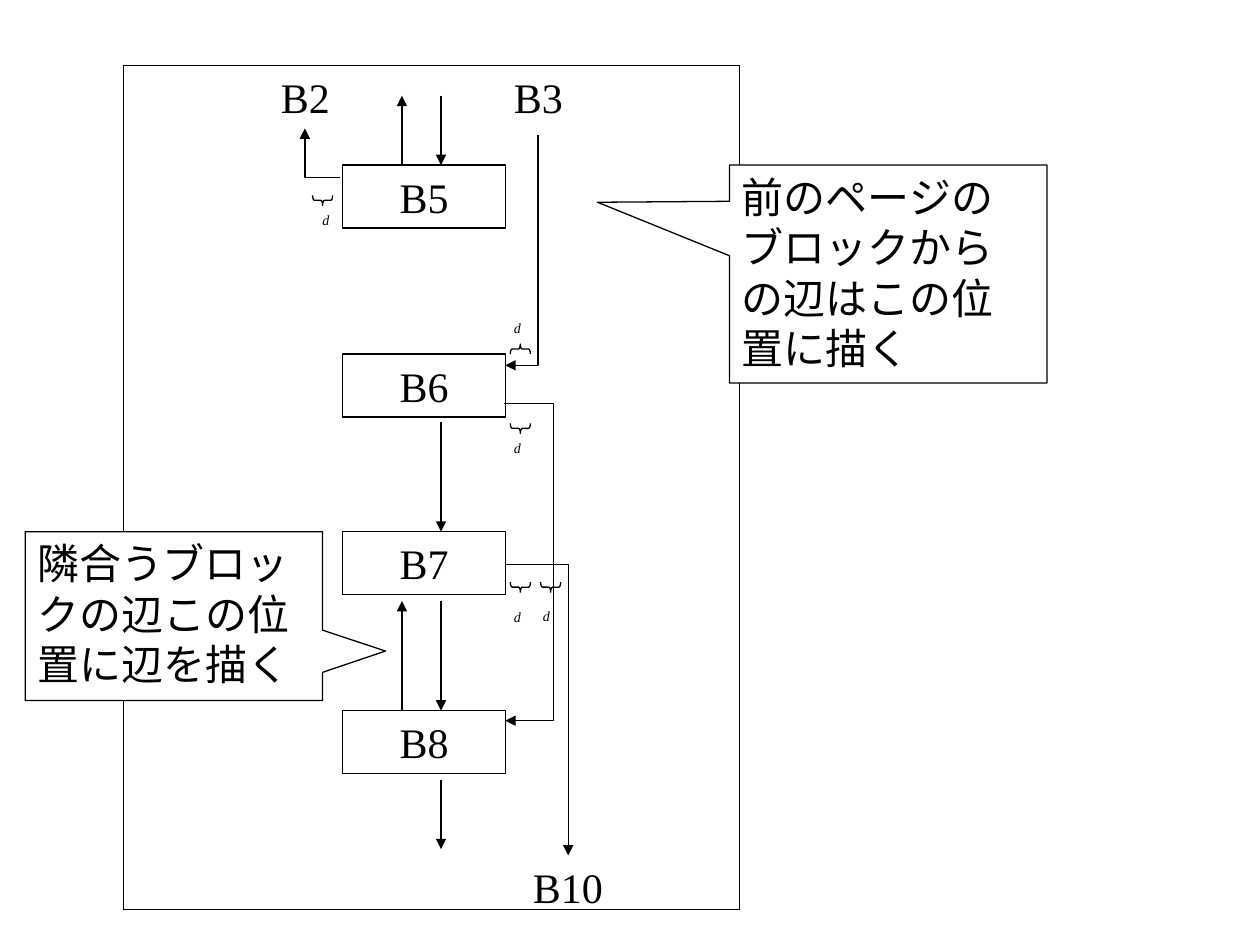
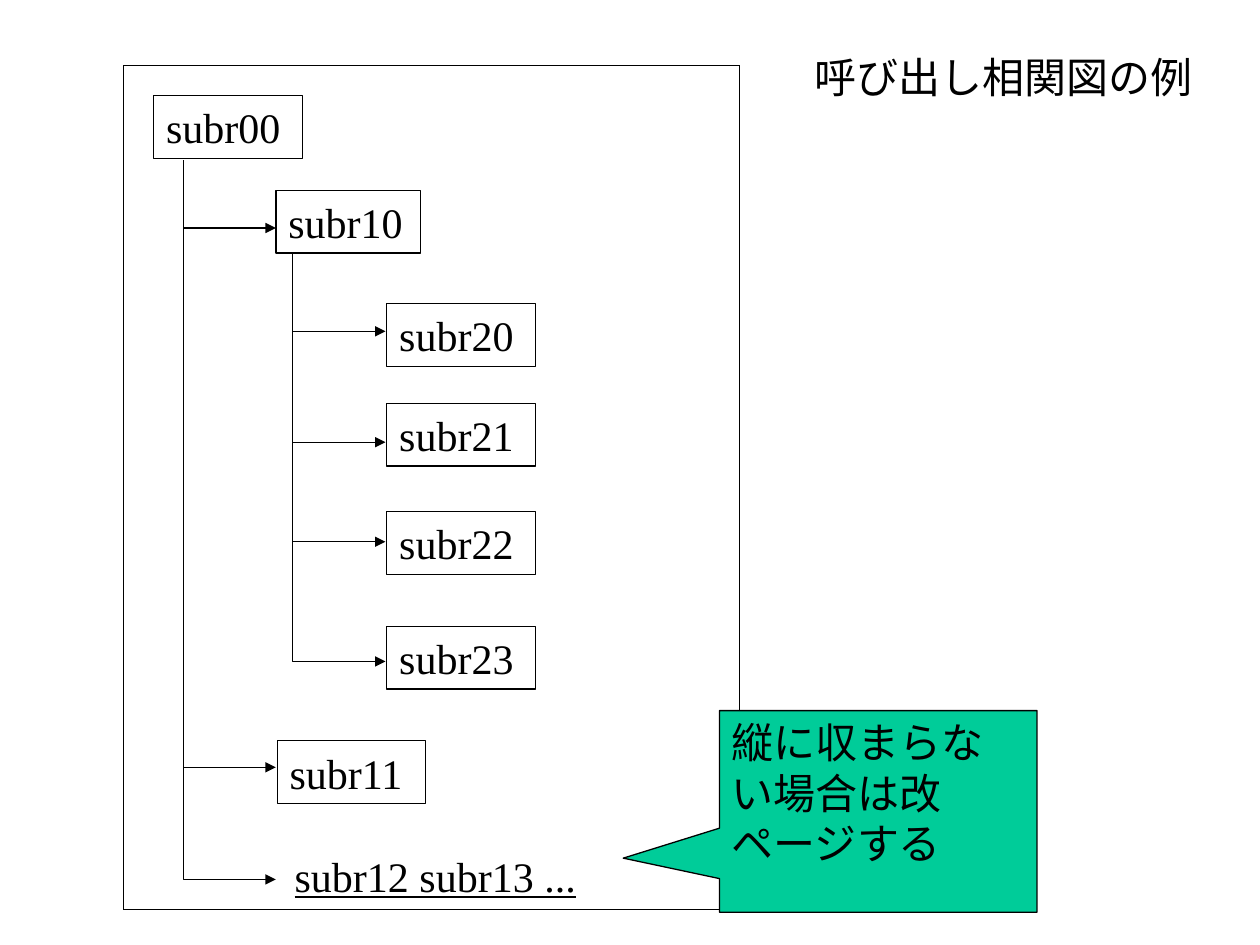
from lxml import etree
from pptx import Presentation
from pptx.dml.color import RGBColor
from pptx.enum.shapes import MSO_CONNECTOR, MSO_SHAPE
from pptx.enum.text import MSO_ANCHOR, MSO_AUTO_SIZE, PP_ALIGN
from pptx.oxml.ns import qn
from pptx.util import Inches, Pt

BLACK = RGBColor(0x00, 0x00, 0x00)
WHITE = RGBColor(0xFF, 0xFF, 0xFF)
GREEN = RGBColor(0x00, 0xCC, 0x99)
FONT = "Times New Roman"
LINE_WIDTH = Pt(0.75)
STRAIGHT, ELBOW = MSO_CONNECTOR.STRAIGHT, MSO_CONNECTOR.ELBOW
RECT = MSO_SHAPE.RECTANGLE
CALLOUT = MSO_SHAPE.RECTANGULAR_CALLOUT
BRACE = MSO_SHAPE.RIGHT_BRACE
LEFT, CENTER = PP_ALIGN.LEFT, PP_ALIGN.CENTER
TOP = MSO_ANCHOR.TOP
GROW = MSO_AUTO_SIZE.SHAPE_TO_FIT_TEXT

FRAME_LEFT, FRAME_TOP, FRAME_RIGHT, FRAME_BOTTOM = 0.98, 0.52, 5.87, 7.22
BOX_HEIGHT = 0.5


def add_line(slide, start, end, arrow=None, bend=None, detour=None):
    """Draw a line; arrow is "headEnd" (at start) or "tailEnd" (at end).

    bend names an elbow preset that leaves start horizontally, and detour
    is how far it runs as a multiple of its width.
    """
    line = slide.shapes.add_connector(
        ELBOW if bend else STRAIGHT, *(Inches(v) for v in start + end))
    line.line.color.rgb = BLACK
    line.line.width = LINE_WIDTH
    properties = line._element.spPr
    if bend:
        geometry = properties.find(qn("a:prstGeom"))
        geometry.set("prst", bend)
        if detour:
            guide = etree.SubElement(geometry.find(qn("a:avLst")), qn("a:gd"))
            guide.set("name", "adj1")
            guide.set("fmla", f"val {detour * 100000}")
    if arrow:
        etree.SubElement(properties.find(qn("a:ln")), qn(f"a:{arrow}"), type="triangle")
    etree.SubElement(properties, qn("a:effectLst"))


def add_text(slide, box, words, kind=None, align=LEFT, fill=None, pointer=None,
             size=24, wrap=True):
    """Write words in a text box, or in an outlined shape when kind is given."""
    place = [Inches(v) for v in box]
    if kind is None:
        shape = slide.shapes.add_textbox(*place)
    else:
        shape = slide.shapes.add_shape(kind, *place)
        shape.shadow.inherit = False
        shape.line.color.rgb = BLACK
        shape.line.width = LINE_WIDTH
        if fill is None:
            shape.fill.background()
        else:
            shape.fill.solid()
            shape.fill.fore_color.rgb = fill
    if pointer:
        shape.adjustments[0], shape.adjustments[1] = pointer
    frame = shape.text_frame
    frame.word_wrap = wrap
    if not wrap:
        frame.auto_size = GROW
    frame.vertical_anchor = TOP
    paragraph = frame.paragraphs[0]
    paragraph.alignment = align
    run = paragraph.add_run()
    run.text = words
    run.font.name = FONT
    run.font.size = Pt(size)
    run.font.color.rgb = BLACK
    return run


prs = Presentation()
prs.slide_width, prs.slide_height = Inches(10), Inches(7.5)
blank = prs.slide_layouts[6]
flow, calls = prs.slides.add_slide(blank), prs.slides.add_slide(blank)

# Page frame on both slides
corners = [(FRAME_LEFT, FRAME_TOP), (FRAME_LEFT, FRAME_BOTTOM),
           (FRAME_RIGHT, FRAME_BOTTOM), (FRAME_RIGHT, FRAME_TOP)]
for slide in (flow, calls):
    for corner, next_corner in zip(corners, corners[1:] + corners[:1]):
        add_line(slide, corner, next_corner)

# Slide 1: blocks and the edges between them
BLOCK_LEFT, BLOCK_WIDTH = 2.72, 1.29
BLOCK_RIGHT = BLOCK_LEFT + BLOCK_WIDTH
for block, top in (("B5", 1.31), ("B6", 2.81), ("B7", 4.22), ("B8", 5.64)):
    add_text(flow, (BLOCK_LEFT, top, BLOCK_WIDTH, BOX_HEIGHT), block, RECT, CENTER)
for block, left, top, width in (("B2", 2.13, 0.52, 0.59), ("B3", 3.98, 0.52, 0.59),
                                ("B10", 4.13, 6.79, 0.78)):
    add_text(flow, (left, top, width, BOX_HEIGHT), block, wrap=False)

DOWN_X, UP_X = 3.5, 3.19
for top, bottom in ((0.76, 1.31), (3.35, 4.22), (4.77, 5.64), (6.19, 6.74)):
    add_line(flow, (DOWN_X, top), (DOWN_X, bottom), "tailEnd")
for top, bottom in ((0.76, 1.31), (4.77, 5.64)):
    add_line(flow, (UP_X, bottom), (UP_X, top), "tailEnd")

add_line(flow, (2.7, 1.41), (2.42, 1.02), "tailEnd", "bentConnector2")
add_line(flow, (BLOCK_RIGHT, 2.9), (4.27, 1.07), "headEnd", "bentConnector2")
add_line(flow, (BLOCK_RIGHT, 4.48), (4.51, 6.79), "tailEnd", "bentConnector2")
add_line(flow, (4, 3.2), (BLOCK_RIGHT, 5.72), "tailEnd", "bentConnector3", 40)

# Braces marking the distance d
BRACE_WIDTH, BRACE_HEIGHT = 0.08, 0.16
for left, top, rotation, label_left, label_top in (
        (2.52, 1.51, 90, 2.46, 1.63),
        (4.09, 2.69, 270, 3.98, 2.49),
        (4.09, 3.32, 90, 3.98, 3.44),
        (4.09, 4.58, 90, 3.98, 4.78),
        (4.33, 4.58, 90, 4.21, 4.77)):
    brace = flow.shapes.add_shape(BRACE, Inches(left), Inches(top),
                                  Inches(BRACE_WIDTH), Inches(BRACE_HEIGHT))
    brace.rotation = rotation
    brace.adjustments[0] = 0.18
    brace.shadow.inherit = False
    brace.fill.background()
    brace.line.color.rgb = BLACK
    brace.line.width = LINE_WIDTH
    distance = add_text(flow, (label_left, label_top, 0.25, 0.24), "d", size=8, wrap=False)
    distance.font.italic = True

add_text(flow, (0.2, 4.22, 2.36, 1.34), "隣合うブロックの辺この位置に辺を描く",
         CALLOUT, fill=WHITE, pointer=(0.712, 0.207))
add_text(flow, (5.79, 1.31, 2.52, 1.73), "前のページのブロックからの辺はこの位置に描く",
         CALLOUT, fill=WHITE, pointer=(-0.916, -0.329))

# Slide 2: call tree
add_text(calls, (6.37, 0.36, 3.2, BOX_HEIGHT), "呼び出し相関図の例", wrap=False)
for routine, left, top, width in (
        ("subr00", 1.22, 0.76, 1.18), ("subr10", 2.19, 1.51, 1.15),
        ("subr20", 3.07, 2.41, 1.18), ("subr21", 3.07, 3.2, 1.18),
        ("subr22", 3.07, 4.06, 1.18), ("subr23", 3.07, 4.97, 1.18),
        ("subr11", 2.2, 5.88, 1.18)):
    add_text(calls, (left, top, width, BOX_HEIGHT), routine, RECT)
next_page = add_text(calls, (2.24, 6.7, 2.76, BOX_HEIGHT), "subr12 subr13 ...")
next_page.font.underline = True

# Each caller: trunk x, trunk top, arrow x, arrow heights
for trunk_x, trunk_top, callee_x, callee_ys in (
        (1.46, 1.27, 2.19, (1.81, 6.09, 6.98)),
        (2.32, 2.02, 3.06, (2.63, 3.51, 4.3, 5.25))):
    for callee_y in callee_ys:
        add_line(calls, (callee_x, callee_y), (trunk_x, trunk_top),
                 "headEnd", "bentConnector2")

add_text(calls, (5.71, 5.64, 2.52, 1.6), "縦に収まらない場合は改ページする",
         CALLOUT, fill=GREEN, pointer=(-0.803, 0.232))

prs.save("out.pptx")
